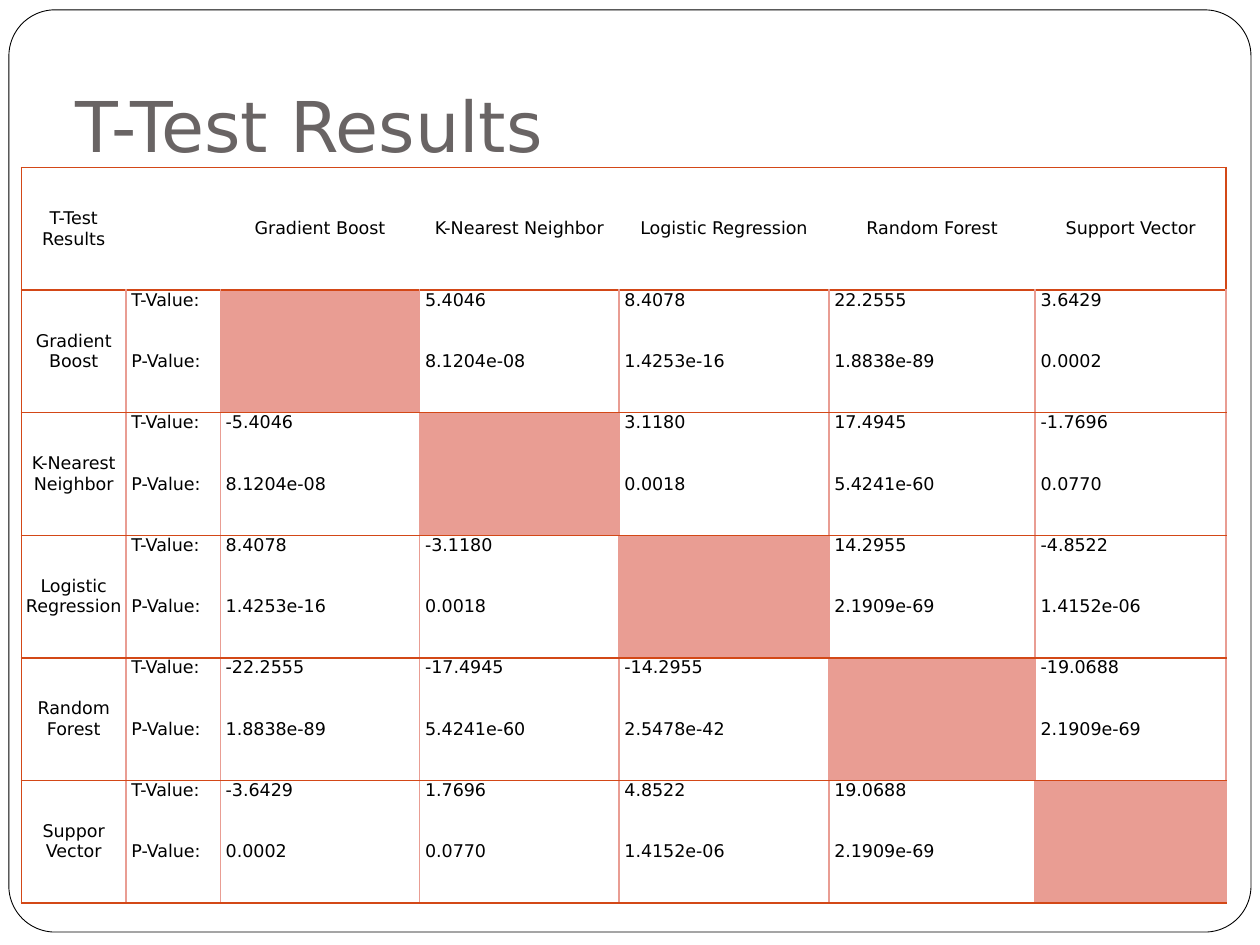
from lxml import etree
from pptx import Presentation
from pptx.dml.color import RGBColor
from pptx.enum import shapes, text
from pptx.oxml import ns
from pptx.util import Cm, Pt

# Content
TITLE = "T-Test Results"
HEADER = ["T-Test Results", "", "Gradient Boost", "K-Nearest Neighbor",
          "Logistic Regression", "Random Forest", "Support Vector"]
MEASURES = ("T-Value:", "P-Value:")
RESULTS = [
    ("Gradient Boost", [(), ("5.4046", "8.1204e-08"), ("8.4078", "1.4253e-16"),
                        ("22.2555", "1.8838e-89"), ("3.6429", "0.0002")]),
    ("K-Nearest Neighbor", [("-5.4046", "8.1204e-08"), (), ("3.1180", "0.0018"),
                            ("17.4945", "5.4241e-60"), ("-1.7696", "0.0770")]),
    ("Logistic Regression", [("8.4078", "1.4253e-16"), ("-3.1180", "0.0018"), (),
                             ("14.2955", "2.1909e-69"), ("-4.8522", "1.4152e-06")]),
    ("Random Forest", [("-22.2555", "1.8838e-89"), ("-17.4945", "5.4241e-60"),
                       ("-14.2955", "2.5478e-42"), (), ("-19.0688", "2.1909e-69")]),
    ("Suppor Vector", [("-3.6429", "0.0002"), ("1.7696", "0.0770"),
                       ("4.8522", "1.4152e-06"), ("19.0688", "2.1909e-69"), ()]),
]

# Formats
FONT = "DejaVu Sans"
BLACK = RGBColor(0x00, 0x00, 0x00)
WHITE = RGBColor(0xFF, 0xFF, 0xFF)
GREY = RGBColor(0x69, 0x64, 0x64)
RED = RGBColor(0xD3, 0x48, 0x17)
PINK = RGBColor(0xE9, 0x9D, 0x93)
COLUMN_WIDTHS = [Cm(w) for w in (2.11, 1.9, 4.02, 4.02, 4.23, 4.16, 3.85)]
ROW_HEIGHT = Cm(2.47)
INDENT = Cm(0.11)
CENTRED = {"alignment": text.PP_ALIGN.CENTER}
VALUE_GAP = Pt(23.3)


def set_all(target, values):
    for name, value in values.items():
        setattr(target, name, value)


def set_font(font, size, color):
    set_all(font, {"name": FONT, "size": Pt(size)})
    font.color.rgb = color


def set_borders(cell, colors):
    properties = cell._tc.get_or_add_tcPr()
    for side, color in zip("LRTB", colors):
        line = etree.SubElement(properties, ns.qn("a:ln" + side), w=str(Pt(1)))
        if color is None:
            etree.SubElement(line, ns.qn("a:noFill"))
        else:
            fill = etree.SubElement(line, ns.qn("a:solidFill"))
            etree.SubElement(fill, ns.qn("a:srgbClr"), val=str(color))


def fill_cell(cell, lines, paragraph_format):
    frame = cell.text_frame
    for index, line in enumerate(lines):
        paragraph = frame.paragraphs[0] if index == 0 else frame.add_paragraph()
        set_all(paragraph, paragraph_format)
        if index:
            paragraph.space_before = VALUE_GAP
        run = paragraph.add_run()
        run.text = line
        set_font(run.font, 10, BLACK)


presentation = Presentation()
set_all(presentation, {"slide_width": Cm(25.4), "slide_height": Cm(19.05)})
slide = presentation.slides.add_slide(presentation.slide_layouts[5])
title = slide.shapes.title

# Rounded page frame, behind the title
frame = slide.shapes.add_shape(shapes.MSO_SHAPE.ROUNDED_RECTANGLE,
                               Cm(0.18), Cm(0.2), Cm(25.04), Cm(18.59))
frame.adjustments[0] = 0.05
frame.shadow.inherit = False
frame.fill.solid()
frame.fill.fore_color.rgb = WHITE
frame.line.color.rgb = BLACK
frame.line.width = Pt(0.5)
title._element.addprevious(frame._element)

# Title
set_all(title, {"left": Cm(1.27), "top": Cm(0.43),
                "width": Cm(22.86), "height": Cm(3.17)})
set_all(title.text_frame, {"text": TITLE, "margin_bottom": Cm(0.25),
                           "vertical_anchor": text.MSO_ANCHOR.BOTTOM})
heading = title.text_frame.paragraphs[0]
heading.alignment = text.PP_ALIGN.LEFT
set_font(heading.runs[0].font, 40, GREY)

# Results table
rows = [[(name,) if name else () for name in HEADER]]
rows += [[(name,), MEASURES, *values] for name, values in RESULTS]
last = len(HEADER) - 1
graphic = slide.shapes.add_table(len(rows), len(HEADER), Cm(0.43), Cm(3.38),
                                 sum(COLUMN_WIDTHS), ROW_HEIGHT * len(rows))
table = graphic.table
for column, width in zip(table.columns, COLUMN_WIDTHS):
    column.width = width

for r, row in enumerate(rows):
    table.rows[r].height = ROW_HEIGHT
    for c, lines in enumerate(row):
        cell = table.cell(r, c)
        is_heading = r == 0 or c == 0
        set_all(cell, {
            "margin_left": 0 if is_heading else INDENT,
            "margin_right": 0, "margin_top": 0, "margin_bottom": 0,
            "vertical_anchor": text.MSO_ANCHOR.MIDDLE if is_heading
            else text.MSO_ANCHOR.TOP})
        inner = PINK if r else None
        left = RED if c == 0 else inner
        right = RED if (r == 0 and c == last) else inner
        set_borders(cell, (left, right, RED, RED))
        cell.fill.solid()
        cell.fill.fore_color.rgb = WHITE if lines or is_heading else PINK
        fill_cell(cell, lines, CENTRED if is_heading else {})

presentation.save("out.pptx")
